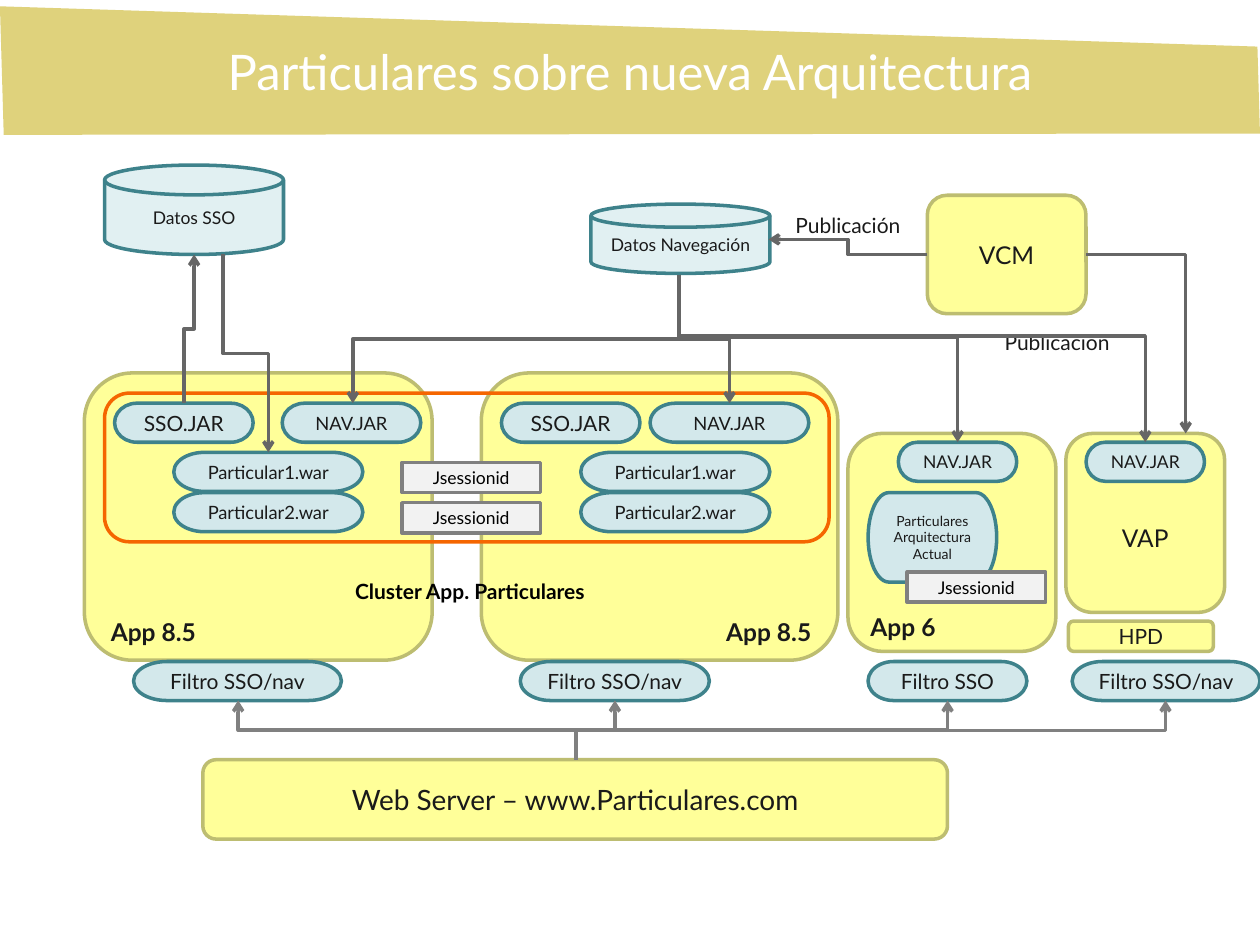
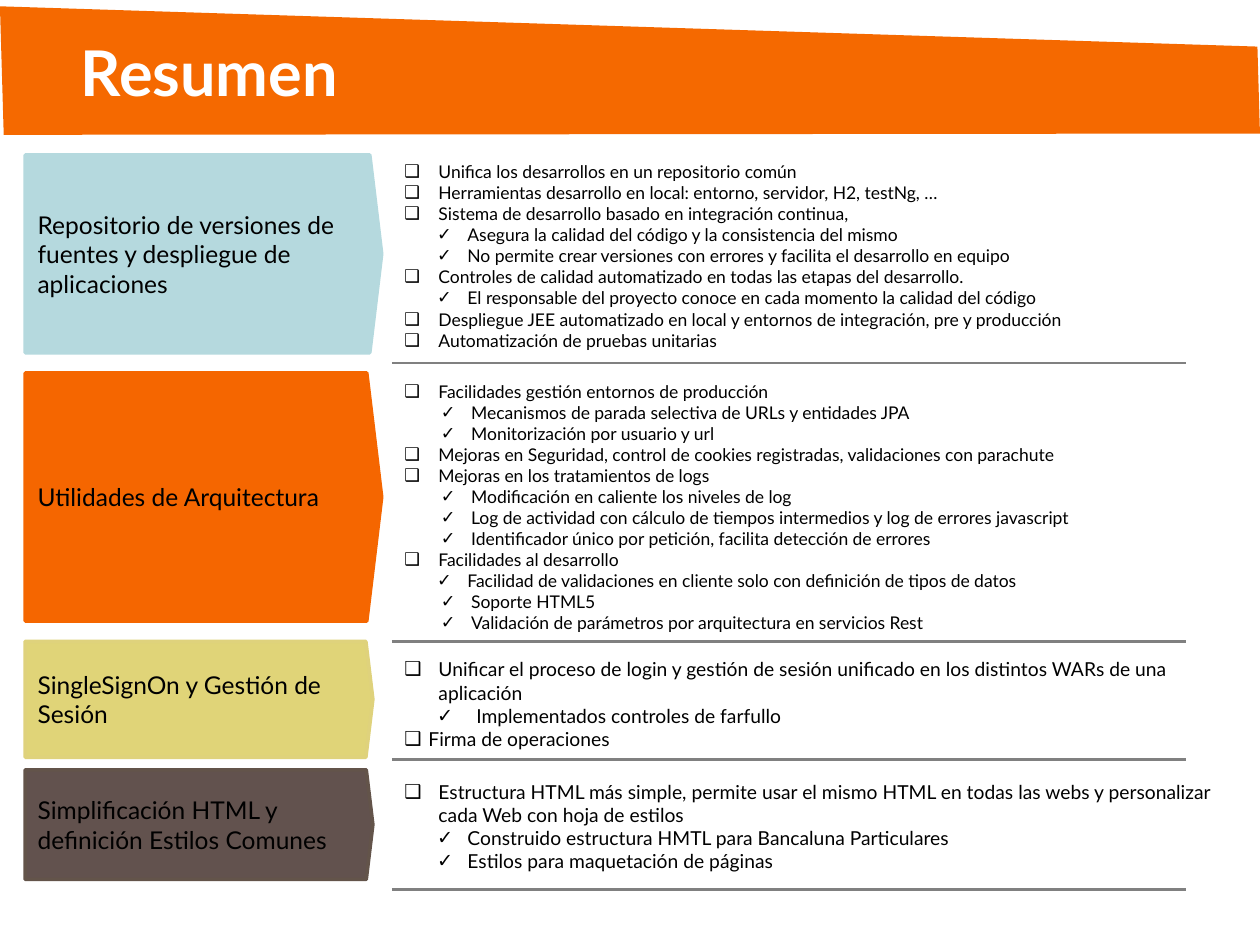
from dataclasses import dataclass
from typing import NamedTuple

from lxml import etree
from pptx import Presentation
from pptx.dml.color import RGBColor
from pptx.enum.dml import MSO_FILL
from pptx.enum.shapes import MSO_CONNECTOR, MSO_SHAPE
from pptx.enum.text import MSO_ANCHOR, MSO_AUTO_SIZE, PP_ALIGN
from pptx.oxml.ns import qn
from pptx.util import Emu, Pt

EMU_PER_PX = 9144  # 100 px to the inch
FONT = "Lato"
LEFT, CENTER, RIGHT = PP_ALIGN.LEFT, PP_ALIGN.CENTER, PP_ALIGN.RIGHT
TOP, MIDDLE, BOTTOM = MSO_ANCHOR.TOP, MSO_ANCHOR.MIDDLE, MSO_ANCHOR.BOTTOM
NO_AUTOFIT = MSO_AUTO_SIZE.NONE
ROUNDED, RECTANGLE = MSO_SHAPE.ROUNDED_RECTANGLE, MSO_SHAPE.RECTANGLE
PILL, DISK = MSO_SHAPE.FLOWCHART_TERMINATOR, MSO_SHAPE.FLOWCHART_MAGNETIC_DISK
ARROW_BOX = MSO_SHAPE.RIGHT_ARROW
ELBOW, STRAIGHT = MSO_CONNECTOR.ELBOW, MSO_CONNECTOR.STRAIGHT
TITLE_ONLY, COMPARISON = 5, 4

COLORS = {
    "white": "FFFFFF", "black": "000000", "ink": "1A1A1A",
    "sand": "DFD27C", "orange": "F56900", "frame": "F56600",
    "yellow": "FFFF99", "olive": "BDBD71",
    "ice": "E1F0F2", "aqua": "D3E8EB", "teal": "3E828B",
    "pale": "F2F2F2", "gray": "808080", "slate": "666666",
    "sky": "B5D9DE", "straw": "E0D478", "brown": "62524E", "bark": "63544A",
}
BAND_OUTLINE = [(0, 5), (3, 107), (1000, 106), (998, 37)]


class Style(NamedTuple):
    shape: int
    fill: str | None
    line: str
    ink: str = "ink"


SERVER = Style(ROUNDED, "yellow", "olive")
MODULE = Style(PILL, "aqua", "teal")
STORE = Style(DISK, "ice", "teal")
SESSION = Style(RECTANGLE, "pale", "gray", "black")
CLUSTER = Style(ROUNDED, None, "frame")


@dataclass
class Box:
    style: Style
    left: int
    top: int
    width: int
    height: int
    text: str = ""
    size: float = 12
    bold: bool = False
    align: int = CENTER
    anchor: int = MIDDLE
    inset_top: int = 5
    inset_bottom: int = 5


@dataclass
class Arrow:
    """Elbow arrow; bends is 2 with a middle segment, 1 for a single corner."""
    start: tuple[int, int]
    end: tuple[int, int]
    color: str = "slate"
    vertical: bool = True
    bends: int = 2
    middle: float = 0.5


class Item(NamedTuple):
    text: str
    level: int = 0
    margin: int = 27
    hang: int = 27


class Section(NamedTuple):
    name: str
    fill: str
    line: str
    arrow: tuple[int, int, int]  # top, width, height
    body: tuple[int, int, int]  # top, width, height
    size: int
    rule_top: int
    items: list[Item]


def detail(text: str, margin: int = 50) -> Item:
    return Item(text, 1, margin, 24)


def px(length: float) -> Emu:
    return Emu(round(length * EMU_PER_PX))


def rgb(name: str) -> RGBColor:
    return RGBColor.from_string(COLORS[name])


def place(shape, left: int, top: int, width: int, height: int) -> None:
    shape.left, shape.top = px(left), px(top)
    shape.width, shape.height = px(width), px(height)


def add_text(para, text: str, *, size: float, color: str = "ink",
             bold: bool = False, align: int = LEFT) -> None:
    para.alignment = align
    span = para.add_run()
    span.text = text
    span.font.name, span.font.size, span.font.bold = FONT, Pt(size), bold
    span.font.color.rgb = rgb(color)


def set_frame(shape, anchor: int, inset_top: int = 5, inset_bottom: int = 5):
    frame = shape.text_frame
    frame.word_wrap, frame.auto_size = True, NO_AUTOFIT
    frame.vertical_anchor = anchor
    frame.margin_top, frame.margin_bottom = px(inset_top), px(inset_bottom)
    return frame


def add_box(page, box: Box):
    style = box.style
    shape = page.shapes.add_shape(style.shape, px(box.left), px(box.top),
                                  px(box.width), px(box.height))
    shape.shadow.inherit = False
    if style.fill:
        shape.fill.solid()
        shape.fill.fore_color.rgb = rgb(style.fill)
    else:
        shape.fill.background()
    shape.line.color.rgb = rgb(style.line)
    shape.line.width = Pt(2)
    if box.text:
        frame = set_frame(shape, box.anchor, box.inset_top, box.inset_bottom)
        add_text(frame.paragraphs[0], box.text, size=box.size, color=style.ink,
                 bold=box.bold, align=box.align)
    return shape


def add_label(page, text: str, left: int, top: int, width: int, **text_format) -> None:
    label = page.shapes.add_textbox(px(left), px(top), px(width), px(30))
    add_text(set_frame(label, TOP).paragraphs[0], text, size=12, **text_format)


def add_line(page, kind: int, start: tuple[int, int], end: tuple[int, int],
             color: str, width: float):
    line = page.shapes.add_connector(kind, *map(px, start + end))
    line.line.color.rgb = rgb(color)
    line.line.width = Pt(width)
    etree.SubElement(line._element.spPr, qn("a:effectLst"))
    return line


def add_arrow(page, arrow: Arrow) -> None:
    line = add_line(page, ELBOW, arrow.start, arrow.end, arrow.color, 2)
    properties = line._element.spPr
    etree.SubElement(properties.find(qn("a:ln")), qn("a:tailEnd"), type="arrow")
    geometry = properties.find(qn("a:prstGeom"))
    if arrow.bends == 1:
        geometry.set("prst", "bentConnector2")
    elif arrow.middle != 0.5:
        etree.SubElement(geometry.find(qn("a:avLst")), qn("a:gd"), name="adj1",
                         fmla=f"val {round(arrow.middle * 100000)}")
    if arrow.vertical:
        turn_upright(line, arrow)


def turn_upright(line, arrow: Arrow) -> None:
    """Rotate an elbow so that it leaves its start vertically."""
    (x1, y1), (x2, y2) = arrow.start, arrow.end
    across, down = abs(x2 - x1), abs(y2 - y1)
    place(line, (x1 + x2 - down) / 2, (y1 + y2 - across) / 2, down, across)
    rightward, upward = x2 > x1, y2 < y1
    transform = line._element.spPr.find(qn("a:xfrm"))
    transform.set("rot", str((90 if rightward == upward else 270) * 60000))
    transform.set("flipH", str(int(rightward)))
    transform.set("flipV", str(int(upward)))


def add_title(page, text: str, band_color: str, area: tuple[int, int, int, int],
              **text_format) -> None:
    """Fill the title placeholder and put the slanted band behind it."""
    builder = page.shapes.build_freeform(*BAND_OUTLINE[0], scale=EMU_PER_PX)
    builder.add_line_segments(BAND_OUTLINE[1:], close=True)
    band = builder.convert_to_shape()
    band.shadow.inherit = False
    band.fill.solid()
    band.fill.fore_color.rgb = rgb(band_color)
    band.line.fill.background()
    title = page.shapes.title
    title._element.addprevious(band._element)
    place(title, *area)
    add_text(set_frame(title, MIDDLE).paragraphs[0], text, color="white", **text_format)


def add_item(para, item: Item, size: int) -> None:
    para.level = item.level
    para.space_before = para.space_after = Pt(0)
    add_text(para, item.text, size=size, color="black")
    properties = para._p.get_or_add_pPr()
    properties.set("marL", str(px(item.margin)))
    properties.set("indent", str(px(-item.hang)))
    etree.SubElement(properties, qn("a:buChar"), char="❑✓"[item.level])


JAR_TOP, FILTER_TOP, PILL_HEIGHT = 320, 525, 31
WAR_TOPS = {"Particular1.war": 359, "Particular2.war": 391}
HUB, NAVIGATION = (457, 603), (539, 218)


def server_box(left: int, top: int, width: int, height: int, text: str, align: int) -> Box:
    return Box(SERVER, left, top, width, height, text, 14, True, align, BOTTOM,
               inset_bottom=0)


def pill(left: int, top: int, width: int, text: str, size: float = 12) -> Box:
    return Box(MODULE, left, top, width, PILL_HEIGHT, text, size)


def session_box(left: int, top: int) -> Box:
    return Box(SESSION, left, top, 110, 24, "Jsessionid", 10)


ARCHITECTURE = [
    server_box(67, 296, 276, 228, "App 8.5", LEFT),
    server_box(382, 296, 283, 228, "App 8.5", RIGHT),
    server_box(673, 344, 165, 173, "App 6", LEFT),
    Box(SERVER, 846, 344, 126, 142, "VAP", 14, inset_top=28),
    Box(SERVER, 736, 155, 126, 94, "VCM", 14),
    Box(SERVER, 848, 493, 115, 24, "HPD"),
    Box(SERVER, 161, 603, 591, 63, "Web Server – www.Particulares.com", 16),
    Box(STORE, 83, 131, 142, 71, "Datos SSO", 10),
    Box(STORE, 469, 162, 142, 55, "Datos Navegación", 10),
    Box(CLUSTER, 83, 312, 575, 118),
    *[pill(left, JAR_TOP, 110, "SSO.JAR") for left in (91, 398)],
    pill(224, JAR_TOP, 110, "NAV.JAR", 10.5),
    pill(516, JAR_TOP, 126, "NAV.JAR", 10.5),
    *[pill(left, 351, 94, "NAV.JAR", 10) for left in (713, 862)],
    *[pill(left, top, 150, name, 10.5)
      for left in (138, 461) for name, top in WAR_TOPS.items()],
    *[pill(left, FILTER_TOP, width, "Filtro SSO/nav")
      for left, width in ((106, 165), (413, 150), (851, 149))],
    pill(689, FILTER_TOP, 126, "Filtro SSO"),
    Box(MODULE, 689, 391, 102, 71, "Particulares Arquitectura Actual", 8),
    *[session_box(*corner) for corner in ((319, 367), (319, 399), (720, 454))],
]
ARROWS = [
    Arrow((177, 202), (213, 359)),
    Arrow((146, 320), (154, 202)),
    Arrow((862, 202), (941, 344), vertical=False, bends=1),
    Arrow((736, 202), (610, 190), vertical=False),
    Arrow(NAVIGATION, (579, 320)),
    Arrow(NAVIGATION, (280, 320)),
    Arrow(NAVIGATION, (909, 351), middle=0.366),
    Arrow(NAVIGATION, (760, 351), middle=0.374),
    *[Arrow(HUB, (x, 556), "gray") for x in (189, 488, 752)],
    Arrow((457, 580), (925, 556), "gray", vertical=False, bends=1),
]
SECTIONS = [
    Section("Repositorio de versiones de fuentes y despliegue de aplicaciones",
            "sky", "sky", (123, 283, 157), (123, 646, 162), 10, 288, [
                Item("Unifica los desarrollos en un repositorio común"),
                Item("Herramientas desarrollo en local: entorno, servidor, H2, testNg, …"),
                Item("Sistema de desarrollo basado en integración continua,"),
                detail("Asegura la calidad del código y la consistencia del mismo"),
                detail("No permite crear versiones con errores y facilita el desarrollo en equipo"),
                Item("Controles de calidad automatizado en todas las etapas del desarrollo."),
                detail("El responsable del proyecto conoce en cada momento la calidad del código"),
                Item("Despliegue JEE automatizado en local y entornos de integración, pre y producción"),
                Item("Automatización de pruebas unitarias")]),
    Section("Utilidades de Arquitectura",
            "frame", "frame", (296, 283, 197), (297, 630, 212), 10, 509, [
                Item("Facilidades gestión entornos de producción"),
                detail("Mecanismos de parada selectiva de URLs y entidades JPA", 53),
                detail("Monitorización por usuario y url", 53),
                Item("Mejoras en Seguridad, control de cookies registradas, validaciones con parachute"),
                Item("Mejoras en los tratamientos de logs"),
                detail("Modificación en caliente los niveles de log", 53),
                detail("Log de actividad con cálculo de tiempos intermedios y log de errores javascript", 53),
                detail("Identificador único por petición, facilita detección de errores", 53),
                Item("Facilidades al desarrollo"),
                detail("Facilidad de validaciones en cliente solo con definición de tipos de datos"),
                detail("Soporte HTML5", 53),
                detail("Validación de parámetros por arquitectura en servicios Rest", 53)]),
    Section("SingleSignOn y Gestión de Sesión",
            "straw", "sand", (509, 276, 92), (517, 661, 84), 11, 603, [
                Item("Unificar el proceso de login y gestión de sesión unificado en los "
                     "distintos WARs de una aplicación"),
                Item("Implementados controles de farfullo", 1, 57, 31),
                Item("Firma de operaciones", 0, 19, 19)]),
    Section("Simplificación HTML y definición Estilos Comunes",
            "brown", "bark", (611, 276, 87), (614, 661, 84), 11, 706, [
                Item("Estructura HTML más simple, permite usar el mismo HTML en todas las "
                     "webs y personalizar cada Web con hoja de estilos"),
                detail("Construido estructura HMTL para Bancaluna Particulares"),
                detail("Estilos para maquetación de páginas")]),
]


def build_architecture(deck) -> None:
    page = deck.slides.add_slide(deck.slide_layouts[TITLE_ONLY])
    add_title(page, "Particulares sobre nueva Arquitectura", "sand",
              (0, 5, 1000, 102), size=28, align=CENTER)
    for box in ARCHITECTURE:
        add_box(page, box)
    for left, top in ((776, 257), (610, 164)):
        add_label(page, "Publicación", left, top, 126, align=CENTER)
    add_label(page, "Cluster App. Particulares", 272, 454, 244, color="black", bold=True)
    for arrow in ARROWS:
        add_arrow(page, arrow)


def build_summary(deck) -> None:
    page = deck.slides.add_slide(deck.slide_layouts[COMPARISON])
    add_title(page, "Resumen", "orange", (54, 21, 887, 71), size=36, bold=True)
    bodies = [holder for holder in page.placeholders if holder.placeholder_format.idx > 0]
    for section, body in zip(SECTIONS, bodies):
        top, width, height = section.arrow
        style = Style(ARROW_BOX, section.fill, section.line, "black")
        arrow_box = add_box(page, Box(style, 20, top, width, height, section.name,
                                      14, align=LEFT))
        arrow_box.adjustments[0], arrow_box.adjustments[1] = 1, 0.06
        top, width, height = section.body
        place(body, 311, top, width, height)
        frame = set_frame(body, TOP)
        for index, item in enumerate(section.items):
            para = frame.add_paragraph() if index else frame.paragraphs[0]
            add_item(para, item, section.size)
        rule = section.rule_top
        add_line(page, STRAIGHT, (311, rule), (941, rule), "gray", 1.5)


def main() -> None:
    deck = Presentation()
    deck.slide_width, deck.slide_height = px(1000), px(750)
    build_architecture(deck)
    build_summary(deck)
    deck.save("out.pptx")


if __name__ == "__main__":
    main()
